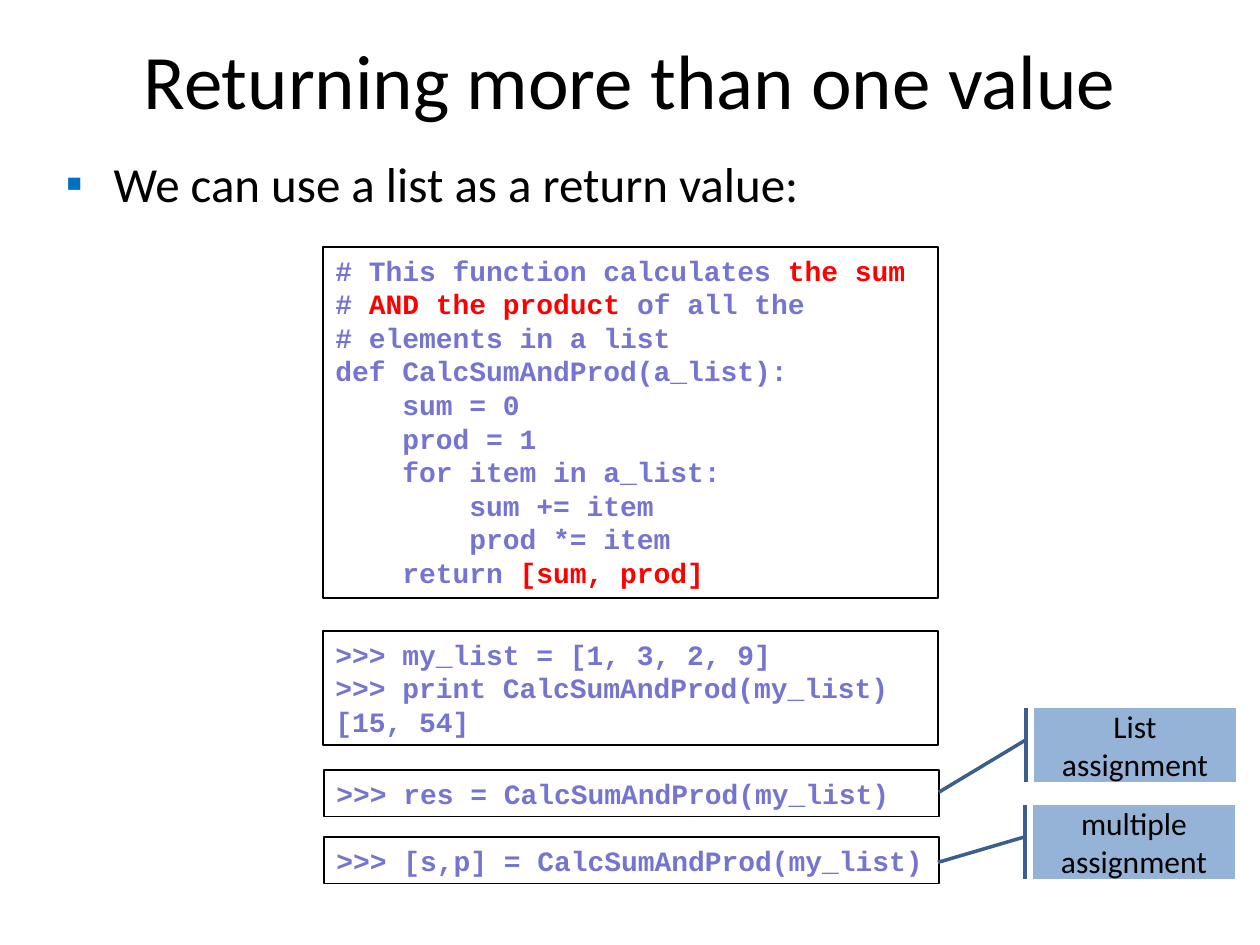
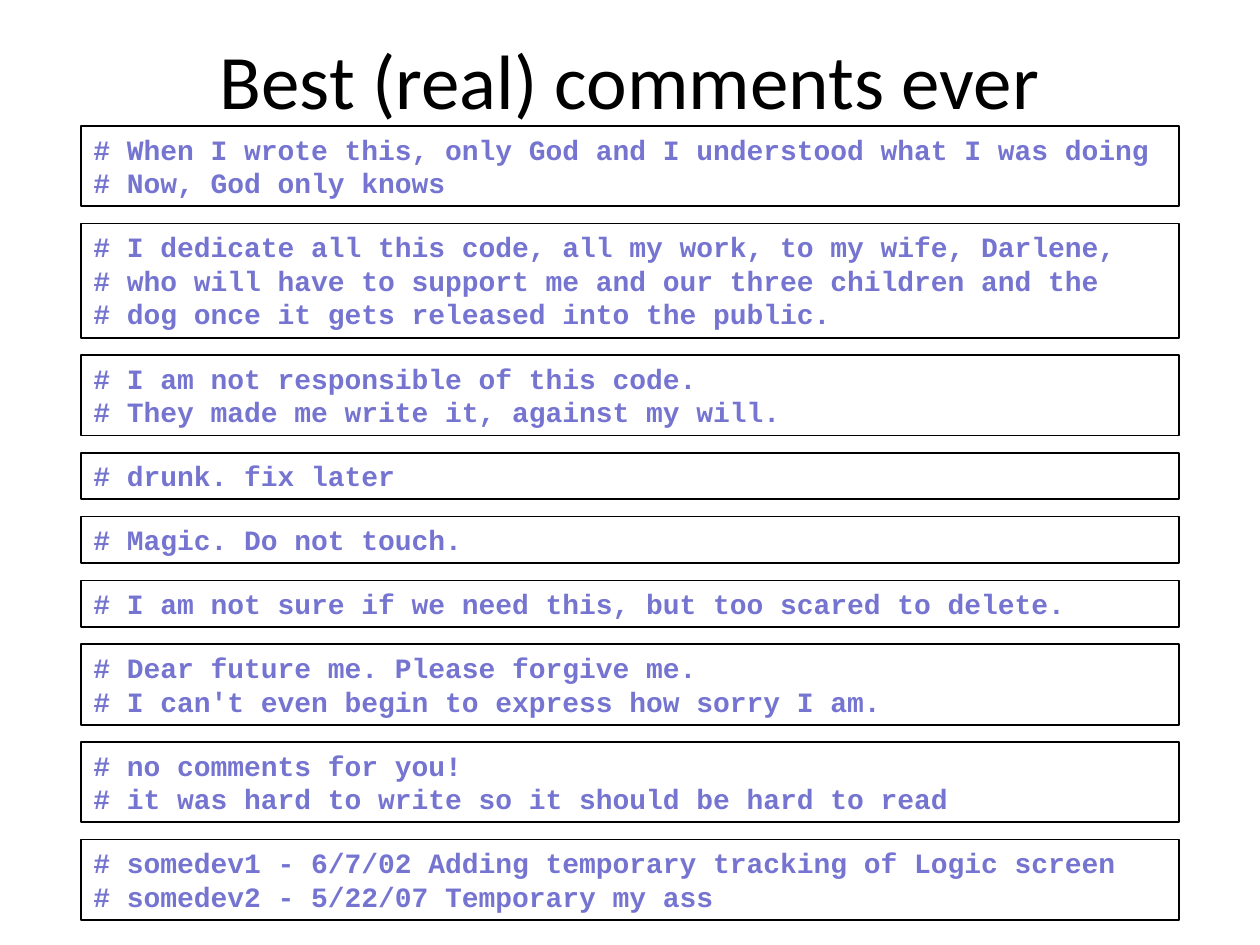
from lxml.etree import SubElement
from pptx import Presentation
from pptx.dml.color import RGBColor
from pptx.enum.shapes import MSO_SHAPE
from pptx.enum.text import MSO_ANCHOR, MSO_AUTO_SIZE, PP_ALIGN
from pptx.oxml.ns import qn
from pptx.util import Emu, Pt

PIXEL = 914400 // 126
COLOURS = {
    "text": "000000",
    "paper": "FFFFFF",
    "code": "7575D1",
    "highlight": "FF0000",
    "bullet": "0070C0",
    "callout": "95B3D7",
    "callout line": "3A5F8C",
}
FONTS = {
    "title": {"name": "Calibri", "size": Pt(44)},
    "body": {"name": "Calibri", "size": Pt(28)},
    "callout": {"name": "Calibri", "size": Pt(18)},
    "code": {"name": "Courier New", "size": Pt(16), "bold": True},
}
TITLE_BOX = (0, 0, 1260, 158)
BODY_BOX = (53, 147, 1155, 91)
BULLET_INDENT = 48
CODE_INDENT = 67
LINE_HEIGHT, BOX_PADDING = 33.8, 12.8

# In code, a leading tab is one indent level, "|" switches the highlight
# on and off, and a newline breaks a line inside its paragraph.
RETURN_TITLE = "Returning more than one value"
RETURN_BULLET = "We can use a list as a return value:"
CODE_LEFT, CODE_WIDTH = 323, 615
FUNCTION_TOP, SESSION_TOP = 247, 631
FUNCTION_CODE = [
    "# This function calculates |the sum|\n# |AND the product| of all the\n"
    "# elements in a list",
    "def CalcSumAndProd(a_list):",
    "\tsum = 0",
    "\tprod = 1",
    "\tfor item in a_list:",
    "\t\tsum += item",
    "\t\tprod *= item",
    "\treturn |[sum, prod]|",
]
SESSION_CODE = [
    ">>> my_list = [1, 3, 2, 9]",
    ">>> print CalcSumAndProd(my_list)",
    "[15, 54]",
]
CALLOUT_SIZE = (202, 74)
# code, its left and top, callout text, its left and top, pointer end height
ASSIGNMENTS = [
    (">>> res = CalcSumAndProd(my_list)", 324, 770,
     "List assignment", 1034, 708, 1.139),
    (">>> [s,p] = CalcSumAndProd(my_list)", 324, 837,
     "multiple assignment", 1033, 805, 0.777),
]

COMMENTS_TITLE = "Best (real) comments ever"
COMMENTS_LEFT, COMMENTS_WIDTH = 81, 1098
COMMENTS_TOP, COMMENTS_BOTTOM = 126, 920
COMMENTS = [
    ["# When I wrote this, only God and I understood what I was doing",
     "# Now, God only knows"],
    ["# I dedicate all this code, all my work, to my wife, Darlene,\n"
     "# who will have to support me and our three children and the",
     "# dog once it gets released into the public."],
    ["# I am not responsible of this code.",
     "# They made me write it, against my will."],
    ["# drunk. fix later"],
    ["# Magic. Do not touch."],
    ["# I am not sure if we need this, but too scared to delete."],
    ["# Dear future me. Please forgive me.",
     "# I can't even begin to express how sorry I am."],
    ["# no comments for you!",
     "# it was hard to write so it should be hard to read"],
    ["# somedev1 - 6/7/02 Adding temporary tracking of Logic screen",
     "# somedev2 - 5/22/07 Temporary my ass"],
]


def emu(pixels):
    """Turn pixels into EMU."""
    return Emu(round(pixels * PIXEL))


def colour(name):
    """Look up a named colour."""
    return RGBColor.from_string(COLOURS[name])


def set_attributes(target, values):
    """Set every attribute named in a dict of values."""
    for name, value in values.items():
        setattr(target, name, value)


def add_run(paragraph, text, font, colour_name="text"):
    """Add a run of text in one of the shared fonts."""
    run = paragraph.add_run()
    run.text = text
    set_attributes(run.font, FONTS[font])
    run.font.color.rgb = colour(colour_name)


def fill_placeholder(placeholder, box, text, font, anchor):
    """Move a placeholder, write its text and return the paragraph."""
    names = ("left", "top", "width", "height")
    set_attributes(placeholder, dict(zip(names, map(emu, box))))
    set_attributes(placeholder.text_frame, {
        "word_wrap": True,
        "auto_size": MSO_AUTO_SIZE.NONE,
        "vertical_anchor": anchor,
    })
    paragraph = placeholder.text_frame.paragraphs[0]
    add_run(paragraph, text, font)
    return paragraph


def add_slide(presentation, layout_name, title):
    """Add a slide with the shared title style."""
    layout = presentation.slide_layouts.get_by_name(layout_name)
    slide = presentation.slides.add_slide(layout)
    paragraph = fill_placeholder(slide.shapes.title, TITLE_BOX, title,
                                 "title", MSO_ANCHOR.MIDDLE)
    paragraph.alignment = PP_ALIGN.CENTER
    return slide


def add_bullet(slide, text):
    """Write the body line with its square bullet."""
    paragraph = fill_placeholder(slide.placeholders[1], BODY_BOX, text,
                                 "body", MSO_ANCHOR.TOP)
    set_attributes(paragraph, {"space_before": Pt(0), "space_after": Pt(6)})
    properties = paragraph._p.get_or_add_pPr()
    properties.set("marL", str(emu(BULLET_INDENT)))
    properties.set("indent", str(-emu(BULLET_INDENT)))
    bullet_colour = SubElement(properties, qn("a:buClr"))
    SubElement(bullet_colour, qn("a:srgbClr"), val=COLOURS["bullet"])
    SubElement(properties, qn("a:buChar"), char="▪")


def add_box(shapes, kind, box, fill, line, line_width):
    """Add a filled, outlined shape without a shadow."""
    shape = shapes.add_shape(kind, *map(emu, box))
    shape.shadow.inherit = False
    shape.fill.solid()
    shape.fill.fore_color.rgb = colour(fill)
    shape.line.color.rgb = colour(line)
    shape.line.width = Pt(line_width)
    shape.text_frame.word_wrap = True
    return shape


def code_height(code):
    """Give the height of a code box from its number of lines."""
    lines = sum(text.count("\n") + 1 for text in code)
    return LINE_HEIGHT * lines + BOX_PADDING


def add_code(shapes, left, top, width, code):
    """Add a framed box of code."""
    box = (left, top, width, code_height(code))
    shape = add_box(shapes, MSO_SHAPE.RECTANGLE, box, "paper", "text", 1)
    frame = shape.text_frame
    set_attributes(frame, {"vertical_anchor": MSO_ANCHOR.TOP,
                           "auto_size": MSO_AUTO_SIZE.SHAPE_TO_FIT_TEXT})
    for index, text in enumerate(code):
        paragraph = frame.add_paragraph() if index else frame.paragraphs[0]
        paragraph.alignment = PP_ALIGN.LEFT
        level = text.count("\t")
        if level:
            properties = paragraph._p.get_or_add_pPr()
            properties.set("marL", str(emu(level * CODE_INDENT)))
        for number, line in enumerate(text.lstrip("\t").split("\n")):
            if number:
                paragraph.add_line_break()
            for part, piece in enumerate(line.split("|")):
                if piece:
                    add_run(paragraph, piece, "code",
                            "highlight" if part % 2 else "code")


def add_callout(shapes, text, left, top, pointer_end):
    """Add a callout whose line points back at a code box."""
    shape = add_box(shapes, MSO_SHAPE.LINE_CALLOUT_1_ACCENT_BAR,
                    (left, top, *CALLOUT_SIZE), "callout", "callout line", 2)
    for index, value in enumerate((0.431, -0.04, pointer_end, -0.471)):
        shape.adjustments[index] = value
    shape.text_frame.vertical_anchor = MSO_ANCHOR.MIDDLE
    paragraph = shape.text_frame.paragraphs[0]
    paragraph.alignment = PP_ALIGN.CENTER
    add_run(paragraph, text, "callout")


def build_return_slide(presentation):
    """Build the slide about returning a list."""
    slide = add_slide(presentation, "Title and Content", RETURN_TITLE)
    add_bullet(slide, RETURN_BULLET)
    for top, code in ((FUNCTION_TOP, FUNCTION_CODE),
                      (SESSION_TOP, SESSION_CODE)):
        add_code(slide.shapes, CODE_LEFT, top, CODE_WIDTH, code)
    for code, left, top, *callout in ASSIGNMENTS:
        group = slide.shapes.add_group_shape()
        add_code(group.shapes, left, top, CODE_WIDTH, [code])
        add_callout(group.shapes, *callout)


def build_comments_slide(presentation):
    """Build the slide of comments, stacked with equal gaps."""
    slide = add_slide(presentation, "Title Only", COMMENTS_TITLE)
    heights = [code_height(comment) for comment in COMMENTS]
    free = COMMENTS_BOTTOM - COMMENTS_TOP - sum(heights)
    gap = free / (len(COMMENTS) - 1)
    top = COMMENTS_TOP
    for comment, height in zip(COMMENTS, heights):
        add_code(slide.shapes, COMMENTS_LEFT, top, COMMENTS_WIDTH, comment)
        top += height + gap


presentation = Presentation()
presentation.slide_width = emu(1260)
presentation.slide_height = emu(945)
build_return_slide(presentation)
build_comments_slide(presentation)
presentation.save("out.pptx")
